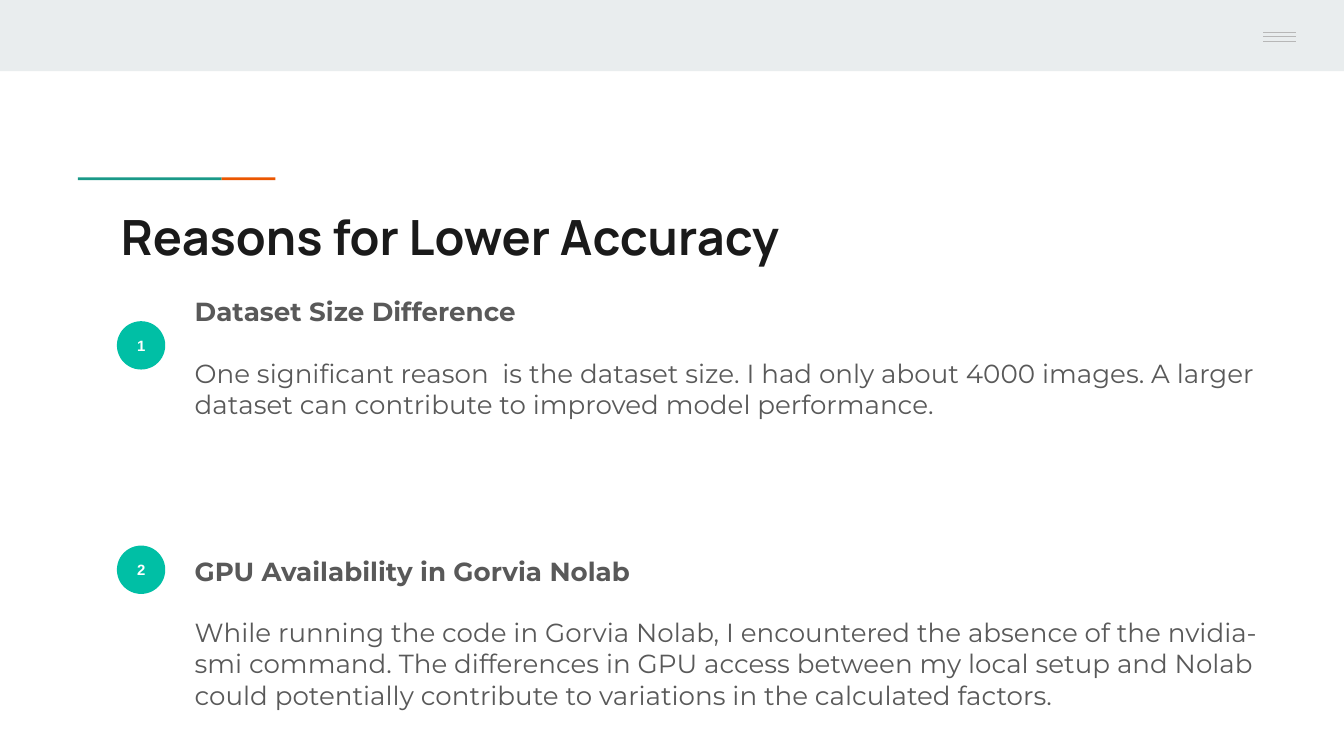
from pptx import Presentation
from pptx.dml.color import RGBColor
from pptx.enum.shapes import MSO_CONNECTOR, MSO_SHAPE
from pptx.enum.text import MSO_ANCHOR, MSO_AUTO_SIZE, PP_ALIGN
from pptx.oxml.ns import qn
from pptx.util import Inches, Pt
from lxml import etree

BAND = RGBColor(0xE9, 0xED, 0xEE)
MENU_GRAY = RGBColor(0xB7, 0xB7, 0xB7)
TEAL = RGBColor(0x1A, 0x99, 0x88)
ORANGE = RGBColor(0xEB, 0x56, 0x00)
BADGE = RGBColor(0x00, 0xBF, 0xA5)
TITLE_INK = RGBColor(0x1A, 0x1A, 0x1A)
BODY_INK = RGBColor(0x59, 0x59, 0x59)
WHITE = RGBColor(0xFF, 0xFF, 0xFF)

# Widescreen 16:9 slide
presentation = Presentation()
presentation.slide_width = Inches(10)
presentation.slide_height = Inches(10 * 9 / 16)
slide = presentation.slides.add_slide(presentation.slide_layouts[5])


def add_block(kind, left, top, width, height, color):
    shape = slide.shapes.add_shape(
        kind, Inches(left), Inches(top), Inches(width), Inches(height))
    shape.shadow.inherit = False
    shape.fill.solid()
    shape.fill.fore_color.rgb = color
    shape.line.fill.background()
    return shape


def add_text(frame, paragraph, text, font, size, color, bold, anchor=MSO_ANCHOR.TOP):
    frame.word_wrap = True
    frame.auto_size = MSO_AUTO_SIZE.NONE
    frame.vertical_anchor = anchor
    frame.margin_left = frame.margin_right = Inches(0.1)
    frame.margin_top = frame.margin_bottom = Inches(0.1)
    run = paragraph.add_run()
    run.text = text
    run.font.name = font
    run.font.size = Pt(size)
    run.font.bold = bold
    run.font.color.rgb = color


# Header band and two-colour accent line
add_block(MSO_SHAPE.RECTANGLE, 0, 0, 10, 0.53, BAND)
add_block(MSO_SHAPE.RECTANGLE, 0.58, 1.32, 1.07, 0.02, TEAL)
add_block(MSO_SHAPE.RECTANGLE, 1.65, 1.32, 0.4, 0.02, ORANGE)

# Menu icon
for y in (0.24, 0.27, 0.31):
    menu_line = slide.shapes.add_connector(
        MSO_CONNECTOR.STRAIGHT, Inches(9.4), Inches(y), Inches(9.64), Inches(y))
    menu_line.line.color.rgb = MENU_GRAY
    menu_line.line.width = Pt(0.75)
    etree.SubElement(menu_line._element.spPr, qn("a:effectLst"))

# Title
title = slide.shapes.title
title.left, title.top = Inches(0.8), Inches(1.44)
title.width, title.height = Inches(8.41), Inches(0.59)
title_paragraph = title.text_frame.paragraphs[0]
title_paragraph.alignment = PP_ALIGN.LEFT
add_text(title.text_frame, title_paragraph, "Reasons for Lower Accuracy",
         "Manrope", 26, TITLE_INK, True)

# Numbered reasons: badge top, text top, text width, text height, heading, detail
reasons = [
    (2.39, 2.1, 8.41, 1.78, "Dataset Size Difference",
     "One significant reason  is the dataset size. I had only about 4000 images. "
     "A larger dataset can contribute to improved model performance."),
    (4.06, 4.03, 8.23, 1.15, "GPU Availability in Gorvia Nolab",
     "While running the code in Gorvia Nolab, I encountered the absence of the "
     "nvidia-smi command. The differences in GPU access between my local setup and "
     "Nolab could potentially contribute to variations in the calculated factors."),
]
for number, (badge_top, top, width, height, heading, detail) in enumerate(reasons, 1):
    badge = add_block(MSO_SHAPE.OVAL, 0.87, badge_top, 0.36, 0.36, BADGE)
    badge_paragraph = badge.text_frame.paragraphs[0]
    badge_paragraph.alignment = PP_ALIGN.CENTER
    add_text(badge.text_frame, badge_paragraph, str(number),
             "Arial", 8, WHITE, True, MSO_ANCHOR.MIDDLE)

    box = slide.shapes.add_textbox(
        Inches(1.35), Inches(top), Inches(width), Inches(height))
    frame = box.text_frame
    add_text(frame, frame.paragraphs[0], heading, "Montserrat", 14, BODY_INK, True)
    detail_paragraph = frame.add_paragraph()
    detail_paragraph.space_before = Pt(16)
    add_text(frame, detail_paragraph, detail, "Montserrat", 14, BODY_INK, False)

presentation.save("out.pptx")
